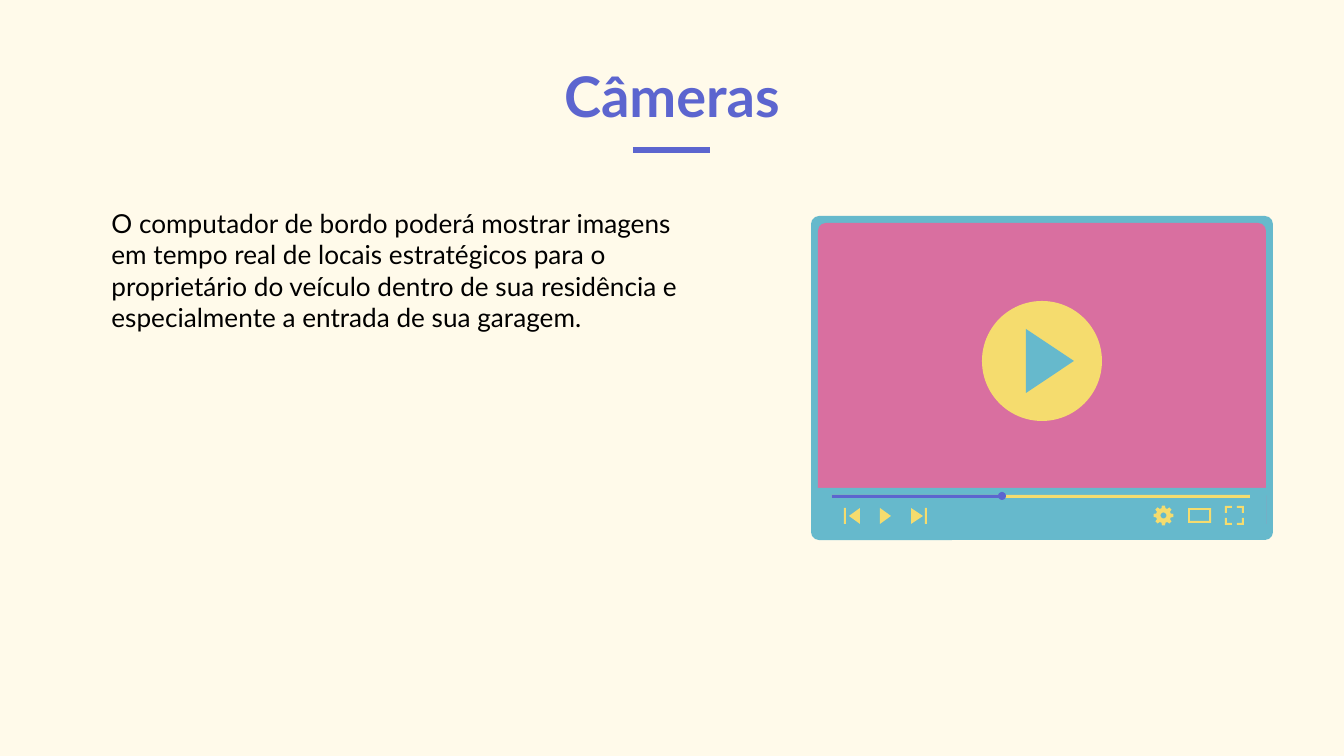
import math

import lxml.etree
import pptx
import pptx.dml.color
import pptx.enum.shapes
import pptx.enum.text
import pptx.oxml.ns
import pptx.util

RGBColor = pptx.dml.color.RGBColor
Shape = pptx.enum.shapes.MSO_SHAPE
Anchor = pptx.enum.text.MSO_ANCHOR
Align = pptx.enum.text.PP_ALIGN

CREAM = RGBColor(0xFF, 0xFA, 0xEA)
INDIGO = RGBColor(0x5C, 0x65, 0xCF)
TEAL = RGBColor(0x66, 0xB9, 0xCC)
PINK = RGBColor(0xD9, 0x6F, 0xA0)
YELLOW = RGBColor(0xF5, 0xDC, 0x6E)
BLACK = RGBColor(0, 0, 0)
FONT = "Lato"
SCALE = 914400 / 134.4


def emu(pixels):
    return pptx.util.Emu(round(pixels * SCALE))


def paint(shape, color):
    shape.shadow.inherit = False
    shape.fill.solid()
    shape.fill.fore_color.rgb = color
    shape.line.fill.background()


def add_block(shapes, kind, left, top, width, height, color, radius=None):
    shape = shapes.add_shape(kind, emu(left), emu(top), emu(width), emu(height))
    if radius is not None:
        shape.adjustments[0] = radius / min(width, height)
    paint(shape, color)


def add_outline(shapes, color, *contours):
    scaled = [[(emu(x), emu(y)) for x, y in contour] for contour in contours]
    builder = shapes.build_freeform(*scaled[0][0], scale=1.0)
    builder.add_line_segments(scaled[0][1:], close=True)
    for contour in scaled[1:]:
        builder.move_to(*contour[0])
        builder.add_line_segments(contour[1:], close=True)
    paint(builder.convert_to_shape(), color)


def add_triangle(shapes, base, tip, top, bottom, color):
    middle = (top + bottom) / 2
    add_outline(shapes, color, [(base, top), (tip, middle), (base, bottom)])


def add_gear(shapes, center_x, center_y, color):
    def point(radius, degrees):
        angle = math.radians(degrees)
        return center_x + radius * math.sin(angle), center_y - radius * math.cos(angle)

    teeth = [point(radius, 45 * tooth + offset)
             for tooth in range(8)
             for radius, offset in ((7.5, -15), (10, -9), (10, 9), (7.5, 15))]
    hole = [point(3, -15 * step) for step in range(24)]
    add_outline(shapes, color, teeth, hole)


def add_fullscreen(shapes, center_x, center_y, color):
    corner = [(2.5, 9.5), (9.5, 9.5), (9.5, 2.5), (7.5, 2.5), (7.5, 7.5), (2.5, 7.5)]
    for side_x in (-1, 1):
        for side_y in (-1, 1):
            add_outline(shapes, color, [(center_x + side_x * x, center_y + side_y * y)
                                        for x, y in corner])


def rectangle_points(left, top, right, bottom):
    return [(left, top), (right, top), (right, bottom), (left, bottom)]


def add_line(page, left, right, y, color, width):
    line = page.shapes.add_connector(
        pptx.enum.shapes.MSO_CONNECTOR.STRAIGHT, emu(left), emu(y), emu(right), emu(y))
    line.line.color.rgb = color
    line.line.width = pptx.util.Pt(width)
    lxml.etree.SubElement(line._element.spPr, pptx.oxml.ns.qn("a:effectLst"))


def fill_text(box, text, left, top, width, height, size, color,
              bold=False, align=Align.LEFT, anchor=Anchor.TOP, indent=0):
    box.left, box.top, box.width, box.height = map(emu, (left, top, width, height))
    frame = box.text_frame
    frame.word_wrap = True
    frame.auto_size = pptx.enum.text.MSO_AUTO_SIZE.NONE
    frame.vertical_anchor = anchor
    frame.margin_left = frame.margin_right = pptx.util.Inches(0.1)
    frame.margin_top = frame.margin_bottom = pptx.util.Inches(0.1)
    para = frame.paragraphs[0]
    para.alignment = align
    para.space_before = pptx.util.Pt(0)
    properties = para._p.get_or_add_pPr()
    properties.set("marL", str(emu(indent)))
    properties.set("indent", "0")
    lxml.etree.SubElement(properties, pptx.oxml.ns.qn("a:buNone"))
    span = para.add_run()
    span.text = text
    span.font.name = FONT
    span.font.size = pptx.util.Pt(size)
    span.font.bold = bold
    span.font.color.rgb = color


def add_player(page):
    shapes = page.shapes.add_group_shape().shapes
    add_block(shapes, Shape.ROUNDED_RECTANGLE, 811, 219, 462, 321, TEAL, radius=8)
    add_block(shapes, Shape.ROUND_2_SAME_RECTANGLE, 811, 216, 462, 34, TEAL, radius=8)
    add_block(shapes, Shape.ROUNDED_RECTANGLE, 818, 223, 448, 309, PINK, radius=8)
    add_block(shapes, Shape.OVAL, 982, 301, 120, 120, YELLOW)
    add_triangle(shapes, 1026, 1074, 329, 393, TEAL)
    add_block(shapes, Shape.RECTANGLE, 817, 488, 449, 51, TEAL)
    for width, color in ((418, YELLOW), (171, INDIGO)):
        add_block(shapes, Shape.RECTANGLE, 832, 495, width, 3, color)
    for base, tip in ((860, 849), (880, 891), (911, 923)):
        add_triangle(shapes, base, tip, 508, 524, YELLOW)
    for left in (844, 925):
        add_block(shapes, Shape.RECTANGLE, left, 508, 2, 16, YELLOW)
    add_gear(shapes, 1163.5, 515.5, YELLOW)
    add_outline(shapes, YELLOW, rectangle_points(1188, 508, 1211, 523),
                rectangle_points(1190, 510, 1209, 521)[::-1])
    add_fullscreen(shapes, 1234.5, 515.5, YELLOW)
    add_block(shapes, Shape.OVAL, 998, 492, 8, 8, INDIGO)


def main():
    deck = pptx.Presentation()
    deck.slide_width, deck.slide_height = emu(1344), emu(756)
    page = deck.slides.add_slide(deck.slide_layouts[1])
    page.background.fill.solid()
    page.background.fill.fore_color.rgb = CREAM
    title, body = page.placeholders
    fill_text(title, "Câmeras", 105, 30, 1134, 112, size=30, color=INDIGO,
              bold=True, align=Align.CENTER, anchor=Anchor.BOTTOM)
    fill_text(body, "O computador de bordo poderá mostrar imagens em tempo real de locais "
              "estratégicos para o proprietário do veículo dentro de sua residência e "
              "especialmente a entrada de sua garagem.",
              78, 194, 617, 318, size=14, color=BLACK, indent=20)
    add_line(page, 633, 710, 150, INDIGO, width=3)
    add_player(page)
    deck.save("out.pptx")


main()
